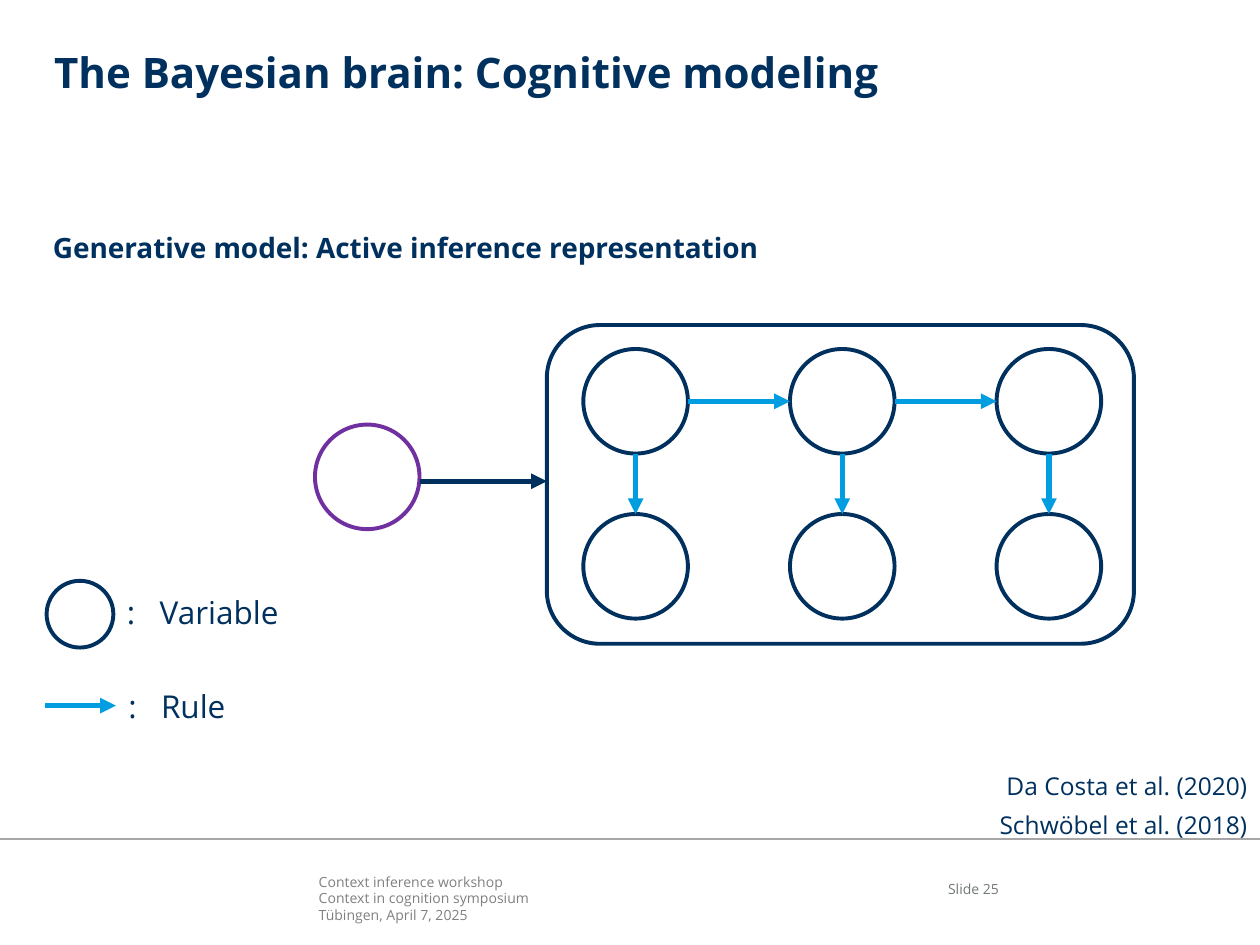
"""Build a slide on the active inference view of a generative model."""
from pptx import Presentation
from pptx.dml.color import RGBColor
from pptx.enum.shapes import MSO_CONNECTOR, MSO_SHAPE
from pptx.enum.text import MSO_ANCHOR, PP_ALIGN
from pptx.oxml.ns import qn
from pptx.util import Inches, Pt
from lxml.etree import SubElement

COLORS = {"navy": "00305E", "blue": "009EE0", "purple": "7030A0",
          "gray": "808080", "slate": "727879", "rule": "A6A6A6"}
FONT = "Open Sans"

deck = Presentation()
deck.slide_width, deck.slide_height = Inches(10), Inches(7.5)
slide = deck.slides.add_slide(deck.slide_layouts[5])
shapes = slide.shapes


def write(box, words, size, color="navy", bold=False, inset=0.0, align=PP_ALIGN.LEFT, tab=None):
    frame = box.text_frame
    frame.word_wrap = True
    frame.vertical_anchor = MSO_ANCHOR.TOP
    frame.margin_left = frame.margin_right = Inches(inset)
    frame.margin_top = frame.margin_bottom = Inches(inset / 2)
    frame.text = words
    for para in frame.paragraphs:
        para.alignment = align
        if tab:
            stops = SubElement(para._p.get_or_add_pPr(), qn("a:tabLst"))
            SubElement(stops, qn("a:tab"), pos=str(Inches(tab)), algn="l")
        for run in para.runs:
            font = run.font
            font.name, font.size, font.bold = FONT, Pt(size), bold
            font.color.rgb = RGBColor.from_string(COLORS[color])


def connect(start, end, color="blue", width=3, head=True):
    line = shapes.add_connector(MSO_CONNECTOR.STRAIGHT, *map(Inches, start + end))
    line.line.color.rgb = RGBColor.from_string(COLORS[color])
    line.line.width = Pt(width)
    if head:
        SubElement(line.line._get_or_add_ln(), qn("a:tailEnd"), type="triangle")
    SubElement(line._element.spPr, qn("a:effectLst"))


title = shapes.title
title.left, title.top, title.width, title.height = map(Inches, (0.43, 0.37, 9.15, 0.89))
write(title, "The Bayesian brain: Cognitive modeling", 24, bold=True)

footer = "Context inference workshop\nContext in cognition symposium\nTübingen, April 7, 2025"
for spot, words, size, style in [
    ((2.53, 6.93, 4.87, 0.4), footer, 8, {"color": "gray"}),
    ((7.17, 6.99, 0.76, 0.15), "Slide 25", 8, {"color": "slate", "align": PP_ALIGN.RIGHT}),
    ((0.42, 1.83, 9.16, 0.4), "Generative model: Active inference representation", 16, {"bold": True}),
    ((0.91, 4.66, 1.6, 0.4), ":\tVariable", 18, {"inset": 0.1, "tab": 0.26}),
    ((0.92, 5.4, 1.6, 0.4), ":\tRule", 18, {"inset": 0.1, "tab": 0.26}),
    ((7.6, 6.07, 2.4, 0.34), "Da Costa et al. (2020)", 14, {"inset": 0.1, "align": PP_ALIGN.RIGHT}),
    ((7.6, 6.38, 2.4, 0.34), "Schwöbel et al. (2018)", 14, {"inset": 0.1, "align": PP_ALIGN.RIGHT}),
]:
    write(shapes.add_textbox(*map(Inches, spot)), words, size, **style)

connect((0, 6.66), (10, 6.66), "rule", 1, head=False)

SIZE = 0.83
cols = [4.63 + 1.64 * i for i in range(3)]
rows = [2.77, 4.08]
nodes = [(MSO_SHAPE.ROUNDED_RECTANGLE, (4.34, 2.58, 4.66, 2.53), "navy"),
         (MSO_SHAPE.OVAL, (0.37, 4.61, 0.53, 0.53), "navy"),
         (MSO_SHAPE.OVAL, (2.5, 3.37, SIZE, SIZE), "purple")]
nodes += [(MSO_SHAPE.OVAL, (x, y, SIZE, SIZE), "navy") for y in rows for x in cols]
for kind, spot, color in nodes:
    node = shapes.add_shape(kind, *map(Inches, spot))
    node.shadow.inherit = False
    node.fill.background()
    node.line.color.rgb = RGBColor.from_string(COLORS[color])
    node.line.width = Pt(2.25)

mid = rows[0] + SIZE / 2
for left, right in zip(cols, cols[1:]):
    connect((left + SIZE, mid), (right, mid))
for x in cols:
    connect((x + SIZE / 2, rows[0] + SIZE), (x + SIZE / 2, rows[1]))
connect((0.36, 5.6), (0.92, 5.6))
connect((3.33, 3.82), (4.34, 3.82), "navy")

deck.save("out.pptx")
